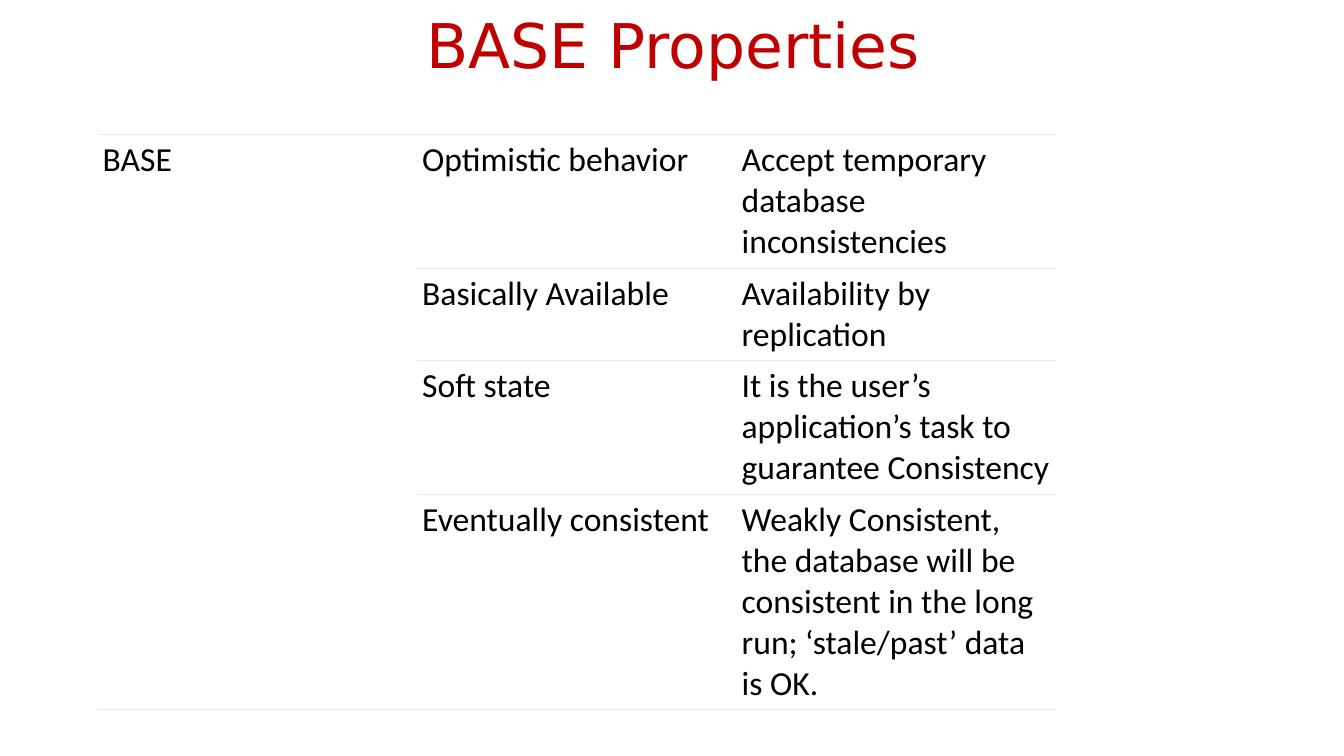
import pptx
import pptx.dml.color
import pptx.enum.text
import pptx.oxml
import pptx.oxml.ns
import pptx.util

Pt = pptx.util.Pt
RGBColor = pptx.dml.color.RGBColor

RED = RGBColor(0xC0, 0x00, 0x00)
BLACK = RGBColor(0x00, 0x00, 0x00)
GREY = RGBColor(0xEB, 0xEB, 0xEB)

TRAITS = [
    ("Optimistic behavior", "Accept temporary database inconsistencies", 95.7),
    ("Basically Available", "Availability by replication", 65.7),
    ("Soft state", "It is the user’s application’s task to guarantee Consistency", 95.7),
    ("Eventually consistent", "Weakly Consistent, the database will be consistent "
     "in the long run; ‘stale/past’ data is OK.", 153.6),
]


def style(para, size, face, color):
    """Set the font of a whole paragraph."""
    para.font.size = Pt(size)
    para.font.name = face
    para.font.color.rgb = color


def rule(cell):
    """Draw thin grey lines above and below a cell and none at its sides."""
    space = pptx.oxml.ns.nsdecls("a")
    solid = f'<a:solidFill><a:srgbClr val="{GREY}"/></a:solidFill>'
    props = cell._tc.get_or_add_tcPr()
    for spot, side in enumerate("LRTB"):
        fill = solid if side in "TB" else "<a:noFill/>"
        line = f'<a:ln{side} {space} w="{Pt(0.75)}">{fill}</a:ln{side}>'
        props.insert(spot, pptx.oxml.parse_xml(line))


def add_title(slide, text, left, top, width, height):
    """Place the slide title in the given box."""
    title = slide.shapes.title
    title.left, title.top = Pt(left), Pt(top)
    title.width, title.height = Pt(width), Pt(height)
    frame = title.text_frame
    frame.text = text
    frame.word_wrap = True
    frame.vertical_anchor = pptx.enum.text.MSO_ANCHOR.MIDDLE
    para = frame.paragraphs[0]
    para.alignment = pptx.enum.text.PP_ALIGN.CENTER
    para.line_spacing = 0.9
    style(para, 44, "DejaVu Sans", RED)


def add_traits(slide, left, top, width):
    """Place the table of properties, with one heading cell down its left."""
    height = sum(trait[2] for trait in TRAITS)
    frame = slide.shapes.add_table(
        len(TRAITS), 3, Pt(left), Pt(top), Pt(width), Pt(height))
    table = frame.table
    table.first_row = table.horz_banding = False
    for col in table.columns:
        col.width = Pt(width / 3)
    for row, (name, note, tall) in enumerate(TRAITS):
        table.rows[row].height = Pt(tall)
        head = "BASE" if row == 0 else ""
        for col, text in enumerate((head, name, note)):
            cell = table.cell(row, col)
            cell.margin_left = cell.margin_right = Pt(3.6)
            cell.margin_top = cell.margin_bottom = Pt(3.6)
            cell.fill.background()
            rule(cell)
            cell.text = text
            style(cell.text_frame.paragraphs[0], 24, "Calibri", BLACK)
    table.cell(0, 0).merge(table.cell(len(TRAITS) - 1, 0))


def main():
    """Build and save the slide."""
    deck = pptx.Presentation()
    deck.slide_width, deck.slide_height = Pt(960), Pt(540)
    slide = deck.slides.add_slide(deck.slide_layouts.get_by_name("Title Only"))
    add_title(slide, "BASE Properties", 10.8, -5.8, 940.3, 80.6)
    add_traits(slide, 69.8, 96.2, 684.6)
    deck.save("out.pptx")


if __name__ == "__main__":
    main()
